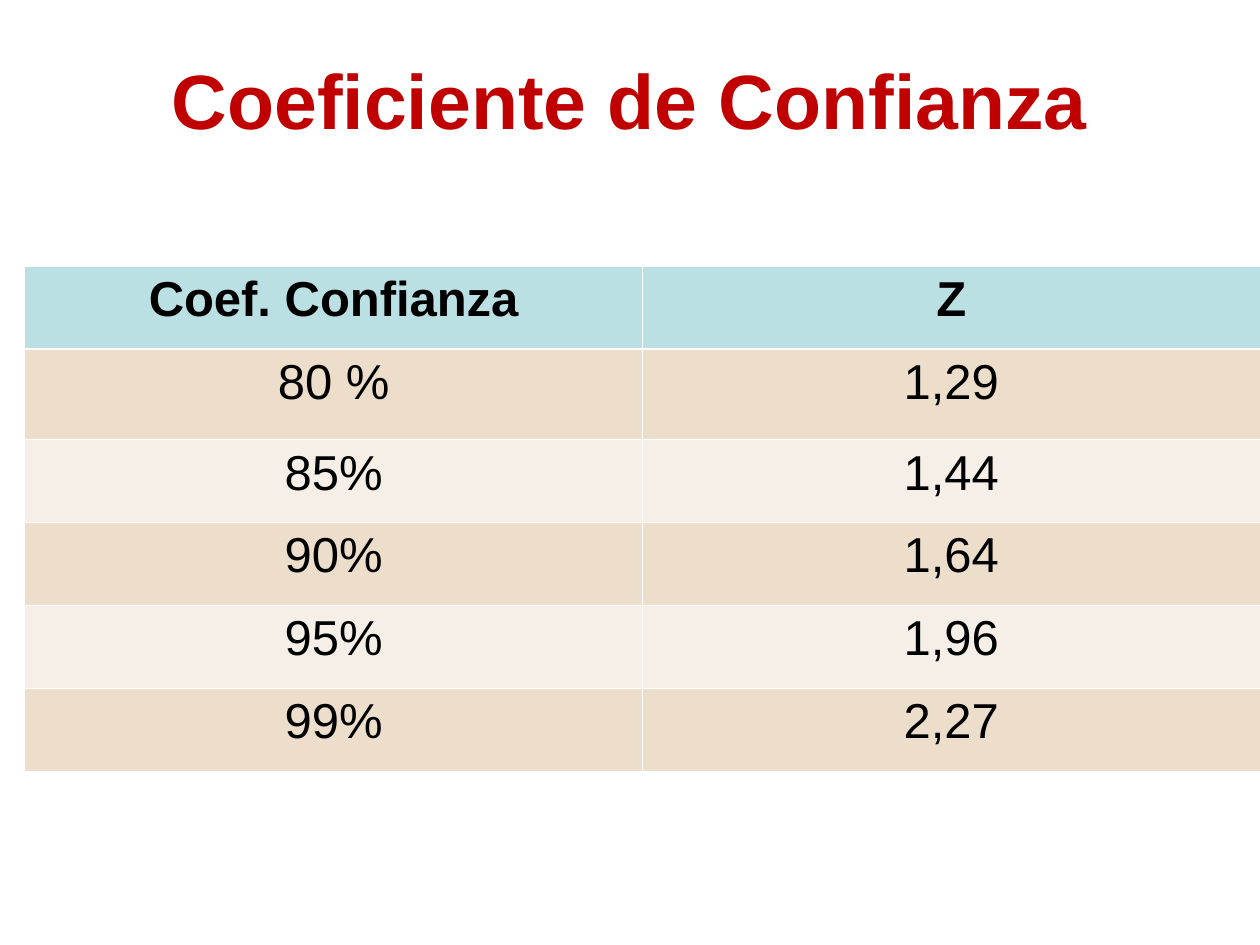
"""Build the slide with the table of confidence coefficients."""
import pptx
import pptx.dml.color
import pptx.enum.text
import pptx.oxml
import pptx.oxml.ns
import pptx.util

Cm, Pt = pptx.util.Cm, pptx.util.Pt


def color(value):
    return pptx.dml.color.RGBColor.from_string(value)


def style(p, size, value, bold):
    p.alignment = pptx.enum.text.PP_ALIGN.CENTER
    for r in p.runs:
        r.font.name = "Arial"
        r.font.size = Pt(size)
        r.font.bold = bold
        r.font.color.rgb = color(value)


prs = pptx.Presentation()
prs.slide_width, prs.slide_height = Cm(25.4), Cm(19.05)
s = prs.slides.add_slide(prs.slide_layouts[6])

title = s.shapes.add_textbox(Cm(1.27), Cm(0.76), Cm(22.86), Cm(3.18))
tf = title.text_frame
tf.word_wrap = True
tf.margin_top = Cm(0.29)
tf.text = "Coeficiente de Confianza"
style(tf.paragraphs[0], 44, "C00000", True)

rows = [
    ("Coef. Confianza", "Z"),
    ("80 %", "1,29"),
    ("85%", "1,44"),
    ("90%", "1,64"),
    ("95%", "1,96"),
    ("99%", "2,27"),
]
heights = [1.67, 1.83, 1.67, 1.67, 1.67, 1.67]
table = s.shapes.add_table(
    len(rows), 2, Cm(0.5), Cm(5.36), Cm(24.9), Cm(sum(heights))
).table

for i, values in enumerate(rows):
    table.rows[i].height = Cm(heights[i])
    fill = "BBE0E3" if i == 0 else ("F6EFE7", "ECDECB")[i % 2]
    for j, value in enumerate(values):
        cell = table.cell(i, j)
        cell.text = value
        style(cell.text_frame.paragraphs[0], 28, "000000", i == 0)
        pr = cell._tc.get_or_add_tcPr()
        for side in "LRTB":
            thick = (i, side) in [(0, "B"), (1, "T")]
            pr.append(pptx.oxml.parse_xml(
                f'<a:ln{side} {pptx.oxml.ns.nsdecls("a")} w="{Pt(1.47 if thick else 0.45)}">'
                '<a:solidFill><a:srgbClr val="FFFFFF"/></a:solidFill>'
                f'</a:ln{side}>'
            ))
        cell.fill.solid()
        cell.fill.fore_color.rgb = color(fill)

prs.save("out.pptx")
